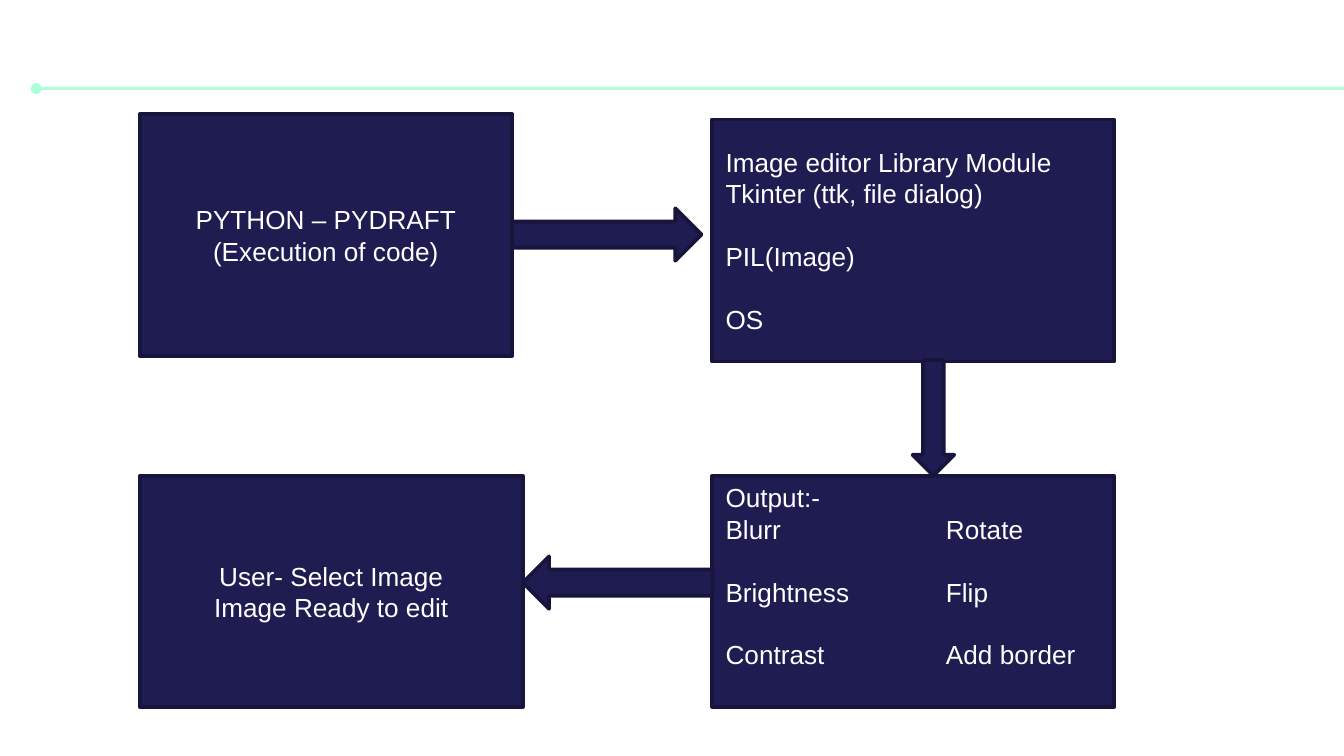
from lxml.etree import SubElement
from pptx import Presentation
from pptx.dml.color import RGBColor
from pptx.enum.shapes import MSO_CONNECTOR as CONN, MSO_SHAPE as SHAPE
from pptx.enum.text import MSO_ANCHOR as ANCHOR, PP_ALIGN as ALIGN
from pptx.oxml.ns import qn
from pptx.util import Inches, Pt


def rgb(value):
    return RGBColor.from_string(value)


class FlowSlide:
    FILL, EDGE, TEXT, RULE = "1F1C51", "17153C", "FFFFFF", "ACFFD9"
    FONT, SIZE, LEADING = "Arial", Pt(14), Pt(16.8)
    COLUMN = Inches(1.64)

    def __init__(self, prs):
        self.s = prs.slides.add_slide(prs.slide_layouts[6])

    def rule(self, x1, x2, y):
        """Horizontal line that starts with a dot."""
        cn = self.s.shapes.add_connector(
            CONN.STRAIGHT, Inches(x1), Inches(y), Inches(x2), Inches(y))
        cn.line.color.rgb = rgb(self.RULE)
        cn.line.width = Pt(1.5)
        SubElement(cn.line._get_or_add_ln(), qn("a:headEnd"), type="oval")
        SubElement(cn._element.spPr, qn("a:effectLst"))

    def shape(self, kind, x, y, w, h, rotation=0):
        sp = self.s.shapes.add_shape(
            kind, Inches(x), Inches(y), Inches(w), Inches(h))
        sp.rotation = rotation
        sp.shadow.inherit = False
        sp.fill.solid()
        sp.fill.fore_color.rgb = rgb(self.FILL)
        sp.line.color.rgb = rgb(self.EDGE)
        sp.line.width = Pt(2)
        SubElement(sp.line._get_or_add_ln(), qn("a:round"))
        return sp

    def box(self, x, y, w, h, groups, align=ALIGN.LEFT, bottom=0.05):
        """Box of text; each group of lines is set one line apart."""
        tf = self.shape(SHAPE.RECTANGLE, x, y, w, h).text_frame
        tf.word_wrap = True
        tf.vertical_anchor = ANCHOR.MIDDLE
        tf.margin_bottom = Inches(bottom)
        p = tf.paragraphs[0]
        for g, lines in enumerate(groups):
            for i, line in enumerate(lines):
                if g or i:
                    p = tf.add_paragraph()
                self.paragraph(p, line, align, gap=g > 0 and i == 0)

    def paragraph(self, p, line, align, gap):
        p.alignment = align
        p.line_spacing = self.LEADING
        p.space_before = self.LEADING if gap else Pt(0)
        if "\t" in line:
            tabs = SubElement(p._p.get_or_add_pPr(), qn("a:tabLst"))
            SubElement(tabs, qn("a:tab"), pos=str(int(self.COLUMN)), algn="l")
        r = p.add_run()
        r.text = line
        r.font.name, r.font.size = self.FONT, self.SIZE
        r.font.color.rgb = rgb(self.TEXT)


def main():
    prs = Presentation()
    # Widescreen, 16:9
    prs.slide_width = Inches(10)
    prs.slide_height = prs.slide_width * 9 // 16
    flow = FlowSlide(prs)
    left, right, lower = 1.04, 5.3, 3.54

    # Header rule, running off the right edge
    flow.rule(0.27, 10.1, 0.66)

    # Steps
    flow.box(left, 0.85, 2.77, 1.8,
             [["PYTHON – PYDRAFT", "(Execution of code)"]], ALIGN.CENTER)
    flow.box(right, 0.89, 2.99, 1.8,
             [["Image editor Library Module", "Tkinter (ttk, file dialog)"],
              ["PIL(Image)"], ["OS"]])
    flow.box(right, lower, 2.99, 1.72,
             [["Output:-", "Blurr\tRotate"], ["Brightness\tFlip"],
              ["Contrast\tAdd border"]], bottom=0.28)
    flow.box(left, lower, 2.85, 1.72,
             [["User- Select Image", "Image Ready to edit"]], ALIGN.CENTER)

    # Arrows between the steps
    flow.shape(SHAPE.RIGHT_ARROW, 3.81, 1.55, 1.41, 0.39)
    flow.shape(SHAPE.RIGHT_ARROW, 3.89, 4.14, 1.41, 0.39, rotation=180)
    flow.shape(SHAPE.DOWN_ARROW, 6.79, 2.68, 0.31, 0.86)

    prs.save("out.pptx")


if __name__ == "__main__":
    main()
